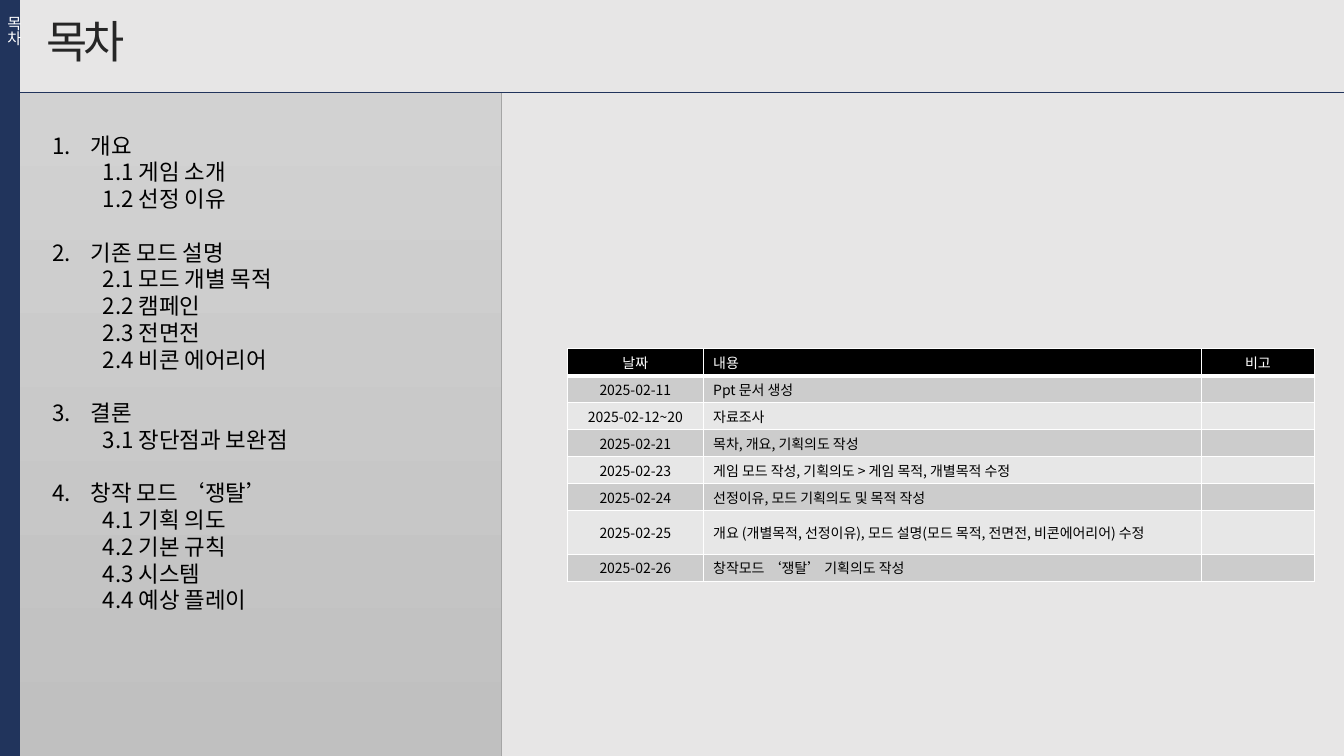
import pptx
import pptx.dml.color
import pptx.enum.shapes
import pptx.enum.text
import pptx.oxml.ns
import pptx.util
from lxml import etree

Cm = pptx.util.Cm
Pt = pptx.util.Pt
ALIGN = pptx.enum.text.PP_ALIGN
ANCHOR = pptx.enum.text.MSO_ANCHOR
qn = pptx.oxml.ns.qn

NAVY = "21345C"
LINE_PITCH = 19.1
CONTENT_COLUMN = 1

CONTENTS = [
    ("개요", ["게임 소개", "선정 이유"]),
    ("기존 모드 설명", ["모드 개별 목적", "캠페인", "전면전", "비콘 에어리어"]),
    ("결론", ["장단점과 보완점"]),
    ("창작 모드 ‘쟁탈’", ["기획 의도", "기본 규칙", "시스템", "예상 플레이"]),
]

HISTORY = [
    ("날짜", "내용", "비고"),
    ("2025-02-11", "Ppt 문서 생성", ""),
    ("2025-02-12~20", "자료조사", ""),
    ("2025-02-21", "목차, 개요, 기획의도 작성", ""),
    ("2025-02-23", "게임 모드 작성, 기획의도 > 게임 목적, 개별목적 수정", ""),
    ("2025-02-24", "선정이유, 모드 기획의도 및 목적 작성", ""),
    ("2025-02-25", "개요 (개별목적, 선정이유), 모드 설명(모드 목적, 전면전, 비콘에어리어) 수정", ""),
    ("2025-02-26", "창작모드 ‘쟁탈’ 기획의도 작성", ""),
]


def color(value):
    return pptx.dml.color.RGBColor.from_string(value)


def set_values(target, values):
    for name, value in values.items():
        setattr(target, name, value)


class SlideBuilder:
    font_name = "Noto Sans CJK KR"

    def __init__(self, presentation):
        self.slide = presentation.slides.add_slide(presentation.slide_layouts[5])

    def background(self, value):
        fill = self.slide.background.fill
        fill.solid()
        fill.fore_color.rgb = color(value)

    def add_text(self, paragraph, text, size, font_color):
        run = paragraph.add_run()
        run.text = text
        set_values(run.font, {"size": Pt(size), "bold": False, "name": self.font_name})
        run.font.color.rgb = color(font_color)
        properties = run.font._element
        etree.SubElement(properties, qn("a:ea"), typeface=self.font_name)
        return properties

    def title(self, text, left, top, width, height):
        title = self.slide.shapes.title
        set_values(title, {"left": Cm(left), "top": Cm(top), "width": Cm(width), "height": Cm(height)})
        set_values(title.text_frame, {
            "word_wrap": False,
            "auto_size": pptx.enum.text.MSO_AUTO_SIZE.NONE,
            "vertical_anchor": ANCHOR.MIDDLE,
        })
        paragraph = title.text_frame.paragraphs[0]
        set_values(paragraph, {"alignment": ALIGN.LEFT, "line_spacing": 0.9})
        self.add_text(paragraph, text, 32, "262626").set("spc", "-300")

    def rectangle(self, left, top, width, height, colors, line=None):
        shape = self.slide.shapes.add_shape(
            pptx.enum.shapes.MSO_SHAPE.RECTANGLE, Cm(left), Cm(top), Cm(width), Cm(height))
        shape.shadow.inherit = False
        if len(colors) == 1:
            shape.fill.solid()
            shape.fill.fore_color.rgb = color(colors[0])
        else:
            shape.fill.gradient()
            shape.fill.gradient_angle = 270
            for stop, value in zip(shape.fill.gradient_stops, colors):
                stop.color.rgb = color(value)
        if line:
            shape.line.color.rgb = color(line)
            shape.line.width = Pt(0.5)
        else:
            shape.line.fill.background()

    def rule(self, left, right, top, value):
        connector = self.slide.shapes.add_connector(
            pptx.enum.shapes.MSO_CONNECTOR.STRAIGHT, Cm(left), Cm(top), Cm(right), Cm(top))
        connector.line.color.rgb = color(value)
        connector.line.width = Pt(0.5)
        etree.SubElement(connector._element.spPr, qn("a:effectLst"))

    def text_box(self, left, top, width, height):
        box = self.slide.shapes.add_textbox(Cm(left), Cm(top), Cm(width), Cm(height))
        box.text_frame.word_wrap = True
        return box.text_frame

    def vertical_label(self, text, left, top, width, height):
        frame = self.text_box(left, top, width, height)
        frame._txBody.bodyPr.set("vert", "eaVert")
        self.add_text(frame.paragraphs[0], text, 11, "FFFFFF")

    def outline(self, sections, left, top, width, height):
        frame = self.text_box(left, top, width, height)
        for number, (heading, items) in enumerate(sections, 1):
            paragraph = frame.paragraphs[0] if number == 1 else frame.add_paragraph()
            self.outline_line(paragraph, heading, 0.97, -0.97)
            etree.SubElement(paragraph._p.pPr, qn("a:buFont"), typeface="+mj-lt")
            etree.SubElement(paragraph._p.pPr, qn("a:buAutoNum"), type="arabicPeriod")
            if number > 1:
                paragraph.space_before = Pt(LINE_PITCH)
            for position, item in enumerate(items, 1):
                paragraph = frame.add_paragraph()
                paragraph.level = 1
                self.outline_line(paragraph, f"{number}.{position} {item}", 1.27, 0)

    def outline_line(self, paragraph, text, margin, indent):
        paragraph.line_spacing = Pt(LINE_PITCH)
        properties = paragraph._p.get_or_add_pPr()
        properties.set("marL", str(Cm(margin)))
        properties.set("indent", str(Cm(indent)))
        self.add_text(paragraph, text, 16, "000000")

    def border(self, cell, side, width):
        line = etree.SubElement(cell._tc.get_or_add_tcPr(), qn(f"a:{side}"), w=str(Pt(width)))
        fill = etree.SubElement(line, qn("a:solidFill"))
        etree.SubElement(fill, qn("a:srgbClr"), val="FFFFFF")

    def table(self, rows, left, top, column_widths, row_height):
        table = self.slide.shapes.add_table(
            len(rows), len(column_widths), Cm(left), Cm(top),
            Cm(sum(column_widths)), Cm(row_height * len(rows))).table
        for column, width in zip(table.columns, column_widths):
            column.width = Cm(width)
        for row_index, row in enumerate(rows):
            table.rows[row_index].height = Cm(row_height)
            for column_index, text in enumerate(row):
                self.cell(table.cell(row_index, column_index), text, row_index, column_index)

    def cell(self, cell, text, row_index, column_index):
        header = row_index == 0
        set_values(cell, {
            "margin_top": Cm(0.04),
            "margin_bottom": Cm(0.04),
            "vertical_anchor": ANCHOR.MIDDLE,
        })
        for side in ("lnL", "lnR", "lnT", "lnB"):
            self.border(cell, side, 3 if header and side == "lnB" else 1)
        cell.fill.solid()
        banding = "CCCCCC" if row_index % 2 else "E7E7E7"
        cell.fill.fore_color.rgb = color("000000" if header else banding)
        paragraph = cell.text_frame.paragraphs[0]
        paragraph.alignment = ALIGN.LEFT if column_index == CONTENT_COLUMN else ALIGN.CENTER
        if text:
            self.add_text(paragraph, text, 10, "FFFFFF" if header else "000000")
        else:
            etree.SubElement(paragraph._p, qn("a:endParaRPr"), sz="1000")


def main():
    presentation = pptx.Presentation()
    presentation.slide_width = Cm(33.87)
    presentation.slide_height = Cm(19.05)
    builder = SlideBuilder(presentation)
    builder.background("E7E6E6")
    builder.rectangle(0.48, 2.32, 12.15, 16.73, ["D2D2D2", "C0C0C0"], "A5A5A5")
    builder.rule(0.48, 33.87, 2.32, NAVY)
    builder.rectangle(0, 0, 0.5, 19.05, [NAVY])
    builder.title("목차", 0.91, 0.3, 2.49, 1.63)
    builder.vertical_label("목차", -0.74, 0.15, 1.45, 5.13)
    builder.table(HISTORY, 14.3, 8.79, [3.42, 12.56, 2.84], 0.68)
    builder.outline(CONTENTS, 1.07, 3.2, 11, 13.08)
    presentation.save("out.pptx")


if __name__ == "__main__":
    main()
